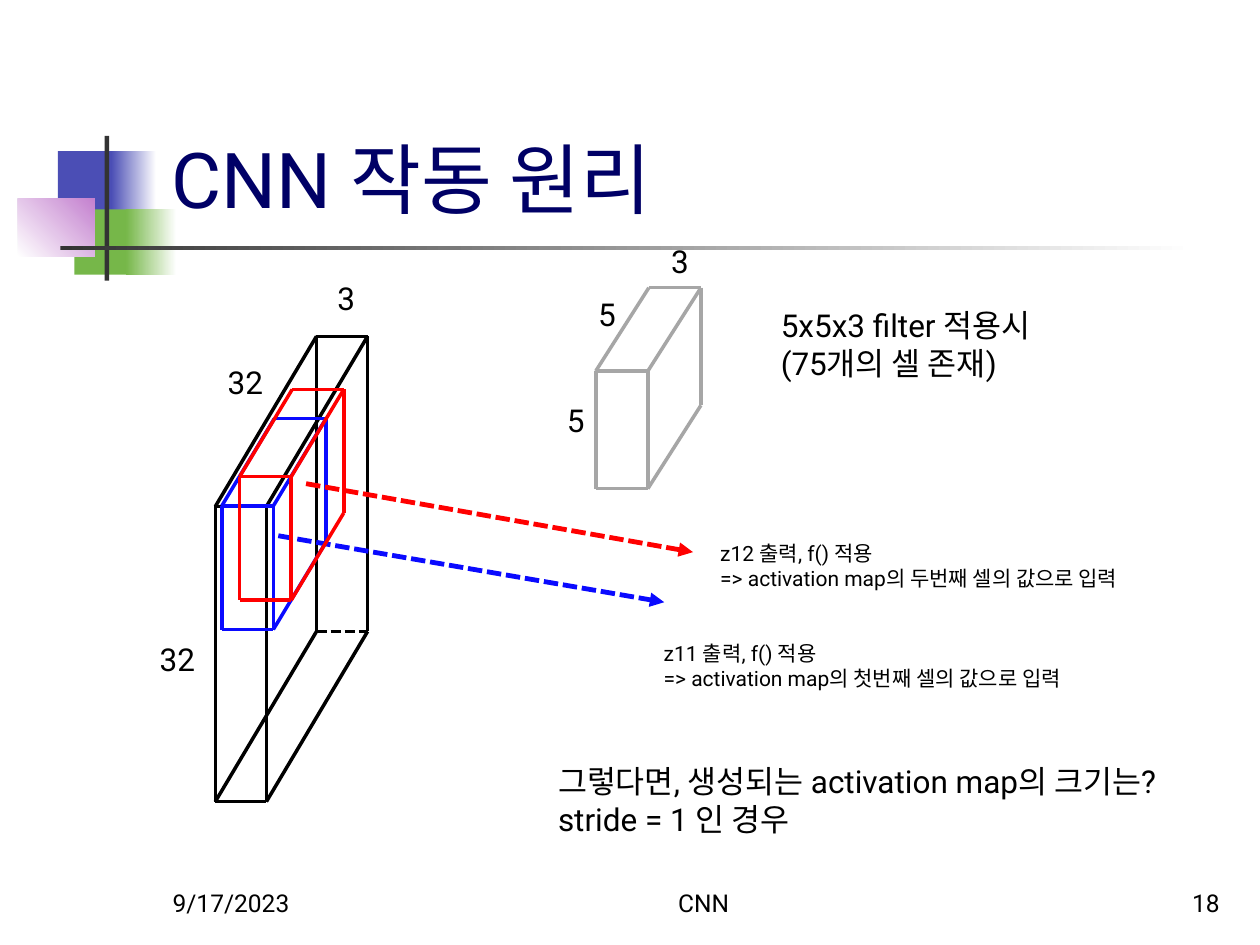
from dataclasses import dataclass

import lxml.etree
import pptx
import pptx.dml.color
import pptx.enum.dml
import pptx.enum.shapes
import pptx.enum.text
import pptx.oxml.ns
import pptx.util

Cm, Pt = pptx.util.Cm, pptx.util.Pt
RGB = pptx.dml.color.RGBColor.from_string
ALIGN, ANCHOR = pptx.enum.text.PP_ALIGN, pptx.enum.text.MSO_ANCHOR
FIT = pptx.enum.text.MSO_AUTO_SIZE.SHAPE_TO_FIT_TEXT


@dataclass(frozen=True)
class Theme:
    font: str = "Roboto"
    text: str = "000000"
    title: str = "000066"
    input: str = "000000"
    filter: str = "A6A6A6"
    first: str = "0A0AFF"
    second: str = "FF0000"
    blue: str = "4B4EB5"
    green: str = "76B749"
    pink: str = "C481CF"
    bar: str = "333333"
    white: str = "FFFFFF"
    title_size: float = 44
    body_size: float = 18
    note_size: float = 12
    footer_size: float = 14
    edge_width: float = 2
    arrow_width: float = 2.75


theme = Theme()
FLOATING = {"word_wrap": False, "auto_size": FIT}
ANCHORED = {"word_wrap": True, "vertical_anchor": ANCHOR.BOTTOM}


def add_text(lines, left, top, width, height, size, frame_format,
             color=theme.text, align=ALIGN.LEFT):
    frame = slide.shapes.add_textbox(Cm(left), Cm(top), Cm(width), Cm(height)).text_frame
    for name, value in frame_format.items():
        setattr(frame, name, value)
    frame.text = "\n".join(lines)
    for paragraph in frame.paragraphs:
        paragraph.alignment = align
        font_format = {"name": theme.font, "size": Pt(size)}
        for name, value in font_format.items():
            setattr(paragraph.runs[0].font, name, value)
        paragraph.runs[0].font.color.rgb = RGB(color)


def add_line(shapes, start, end, color, width, dashed=False):
    line = shapes.add_connector(pptx.enum.shapes.MSO_CONNECTOR.STRAIGHT,
                                *(Cm(value) for value in (*start, *end)))
    line.line.color.rgb = RGB(color)
    line.line.width = Pt(width)
    if dashed:
        line.line.dash_style = pptx.enum.dml.MSO_LINE.SQUARE_DOT
    lxml.etree.SubElement(line._element.spPr, pptx.oxml.ns.qn("a:effectLst"))
    return line


deck = pptx.Presentation()
deck.slide_width, deck.slide_height = Cm(25.4), Cm(19.05)
slide = deck.slides.add_slide(deck.slide_layouts[6])

# Title ornament: position, then one colour or the two ends of a gradient and its angle
ornament = [
    ((1.17, 3.05, 1.22, 1.32), (theme.blue,), 0),
    ((2.24, 3.05, 0.91, 1.32), (theme.blue, theme.white), 0),
    ((1.5, 4.22, 1.17, 1.32), (theme.green,), 0),
    ((2.54, 4.22, 1.02, 1.32), (theme.green, theme.white), 0),
    ((0.36, 4.01, 1.55, 1.17), (theme.white, theme.pink), 45),
    ((2.11, 2.74, 0.09, 2.92), (theme.bar,), 0),
    ((1.22, 4.95, 22.86, 0.09), (theme.bar, theme.white), 0),
]
for position, colors, angle in ornament:
    block = slide.shapes.add_shape(pptx.enum.shapes.MSO_SHAPE.RECTANGLE,
                                   *(Cm(value) for value in position))
    block.shadow.inherit = False
    block.line.fill.background()
    if len(colors) == 1:
        block.fill.solid()
        block.fill.fore_color.rgb = RGB(colors[0])
    else:
        block.fill.gradient()
        block.fill.gradient_angle = angle
        for stop, color, place in zip(block.fill.gradient_stops, colors, (0, 1)):
            stop.color.rgb = RGB(color)
            stop.position = place

# Title and footer
add_text(["CNN 작동 원리"], 3.2, 0.58, 21.64, 4.06, theme.title_size, ANCHORED, theme.title)
for words, left, width, align in [("9/17/2023", 3.23, 5.28, ALIGN.LEFT),
                                  ("CNN", 10.16, 8.05, ALIGN.CENTER),
                                  ("18", 19.56, 5.28, ALIGN.RIGHT)]:
    add_text([words], left, 17.35, width, 1.27, theme.footer_size, ANCHORED, align=align)

# Boxes: corners are (right, down, back) flags, edges are pairs of corners
visible_edges = ["001 000", "101 100", "000 100", "001 101", "000 010",
                 "100 110", "101 111", "111 110", "010 110"]
hidden_edges = ["001 011", "011 010", "011 111"]
boxes = [  # front corner, width and height, shift of the back face, colour, see-through
    ((4.34, 10.21), (1.03, 5.95), (2.04, -3.43), theme.input, True),
    ((12.01, 7.48), (1.05, 2.37), (1.07, -1.68), theme.filter, False),
    ((4.47, 10.2), (1.04, 2.49), (1.06, -1.76), theme.first, False),
    ((4.83, 9.61), (1.04, 2.49), (1.06, -1.76), theme.second, False),
]
arrows = {theme.first: ((5.61, 10.8), (13.39, 12.14)),
          theme.second: ((6.17, 9.75), (13.97, 11.13))}
for (x, y), (width, height), (shift_x, shift_y), color, see_through in boxes:
    box = slide.shapes.add_group_shape()
    for edge in visible_edges + (hidden_edges if see_through else []):
        ends = []
        for corner in edge.split():
            right, down, back = map(int, corner)
            ends.append((x + right * width + back * shift_x,
                         y + down * height + back * shift_y))
        add_line(box.shapes, *ends, color, theme.edge_width, dashed=edge == "011 111")
    if color in arrows:
        arrow = add_line(slide.shapes, *arrows[color], color, theme.arrow_width, dashed=True)
        lxml.etree.SubElement(arrow.line._get_or_add_ln(),
                              pptx.oxml.ns.qn("a:tailEnd"), type="triangle")

# Box dimensions
for words, left, top, width in [("3", 6.55, 5.51, 0.86), ("32", 4.34, 7.19, 1.22),
                                ("32", 2.97, 12.78, 1.22), ("3", 13.28, 4.75, 0.86),
                                ("5", 11.81, 5.82, 0.86), ("5", 11.18, 7.95, 0.86)]:
    add_text([words], left, top, width, 1.02, theme.body_size, FLOATING)

# Explanations
add_text(["5x5x3 filter 적용시", "(75개의 셀 존재)"],
         15.49, 6.05, 5.82, 1.8, theme.body_size, FLOATING)
for output, order, left, top in [("z11", "첫번째", 13.13, 12.78), ("z12", "두번째", 14.27, 10.77)]:
    add_text([f"{output} 출력, f() 적용", f"=> activation map의 {order} 셀의 값으로 입력"],
             left, top, 9.27, 1.27, theme.note_size, FLOATING)
add_text(["그렇다면, 생성되는 activation map의 크기는?", "stride = 1 인 경우"],
         11, 15.24, 13.44, 1.8, theme.body_size, FLOATING)

deck.save("out.pptx")
